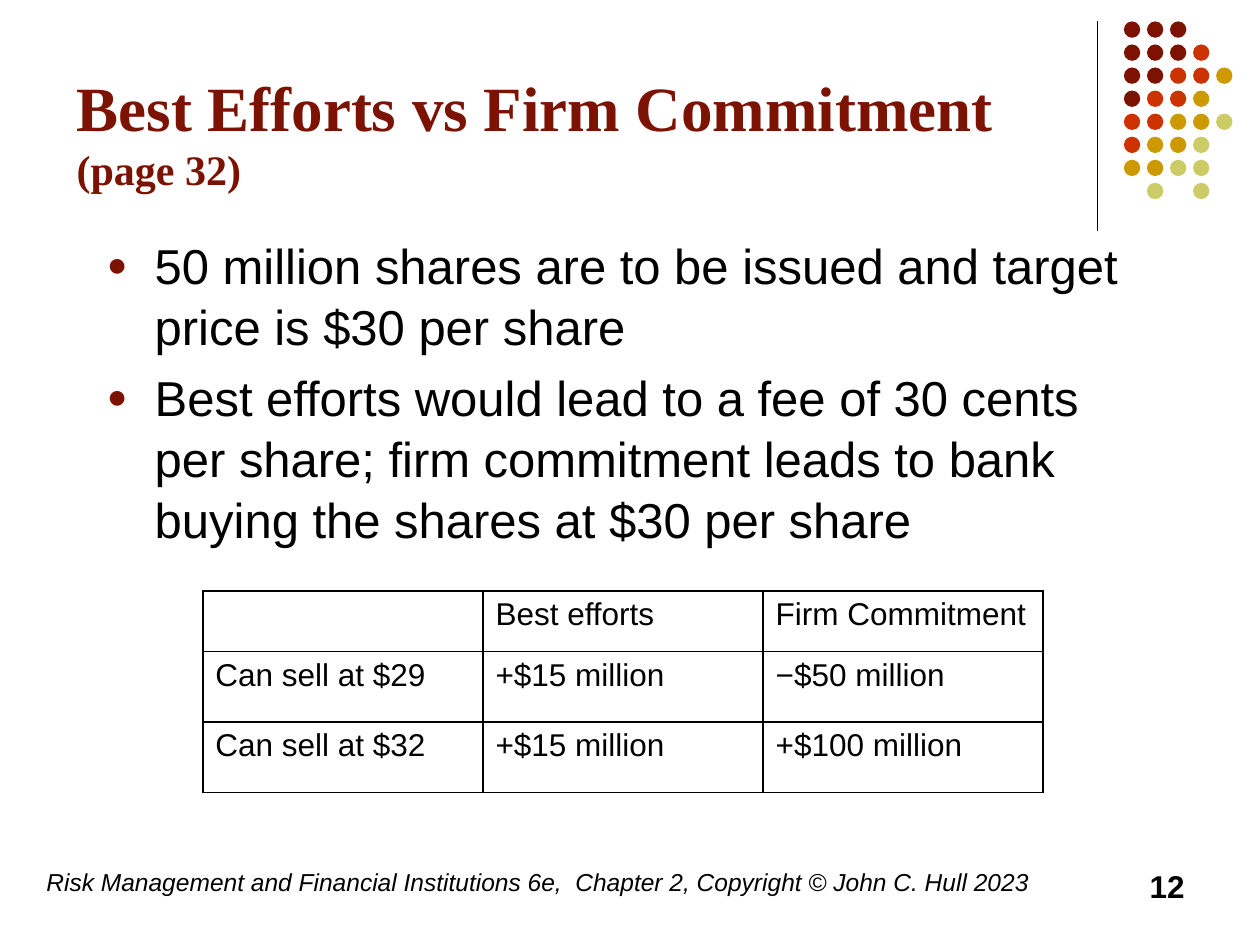
from lxml.etree import SubElement
from pptx import Presentation
from pptx.dml.color import RGBColor
from pptx.enum.shapes import MSO_CONNECTOR, MSO_SHAPE
from pptx.enum.text import MSO_ANCHOR, PP_ALIGN
from pptx.oxml.ns import qn
from pptx.util import Inches, Pt

COLORS = {"text": "000000", "maroon": "7C1302", "red": "CC3300",
          "gold": "CC9900", "lime": "CCCC66"}

DOT_COLORS = {"M": "maroon", "R": "red", "G": "gold", "L": "lime"}
DOT_ROWS = ["MMM", "MMMR", "MMRRG", "MRRG", "RRGGL", "RGGL", "GGLL", " L L"]
DOT_SIZE, DOT_PITCH = 0.13, 0.183

BULLETS = [
    "50 million shares are to be issued and target price is $30 per share",
    "Best efforts would lead to a fee of 30 cents per share; "
    "firm commitment leads to bank buying the shares at $30 per share",
]

PAYOFFS = [
    ["", "Best efforts", "Firm Commitment"],
    ["Can sell at $29", "+$15 million", "−$50 million"],
    ["Can sell at $32", "+$15 million", "+$100 million"],
]
ROW_HEIGHTS = [0.48, 0.56, 0.56]


def rgb(name):
    return RGBColor.from_string(COLORS[name])


def set_font(font, size, color="text", name="Arial", bold=False, italic=False):
    font.name, font.size = name, Pt(size)
    font.bold, font.italic = bold, italic
    font.color.rgb = rgb(color)


def add_text_frame(slide, left, top, width, height):
    frame = slide.shapes.add_textbox(
        Inches(left), Inches(top), Inches(width), Inches(height)).text_frame
    frame.word_wrap = True
    return frame


def add_divider(slide):
    divider = slide.shapes.add_connector(
        MSO_CONNECTOR.STRAIGHT,
        Inches(8.71), Inches(0.17), Inches(8.71), Inches(1.83))
    divider.line.color.rgb = rgb("text")
    divider.line.width = Pt(0.75)
    SubElement(divider._element.spPr, qn("a:effectLst"))


def add_dots(slide):
    for row, codes in enumerate(DOT_ROWS):
        for col, code in enumerate(codes):
            if code == " ":
                continue
            dot = slide.shapes.add_shape(
                MSO_SHAPE.OVAL,
                Inches(8.92 + col * DOT_PITCH), Inches(0.17 + row * DOT_PITCH),
                Inches(DOT_SIZE), Inches(DOT_SIZE))
            dot.shadow.inherit = False
            dot.fill.solid()
            dot.fill.fore_color.rgb = rgb(DOT_COLORS[code])
            dot.line.fill.background()


def add_title(slide):
    frame = add_text_frame(slide, 0.51, 0.17, 8.25, 1.42)
    frame.vertical_anchor = MSO_ANCHOR.BOTTOM
    title = frame.paragraphs[0]
    for text, size in [("Best Efforts vs Firm Commitment ", 36), ("(page 32)", 24)]:
        run = title.add_run()
        run.text = text
        set_font(run.font, size, "maroon", "Times New Roman", bold=True)


def add_bullet_mark(paragraph):
    props = paragraph._p.get_or_add_pPr()
    props.set("marL", str(Inches(0.38)))
    props.set("indent", str(Inches(-0.38)))
    color = SubElement(props, qn("a:buClr"))
    SubElement(color, qn("a:srgbClr"), val=COLORS["maroon"])
    SubElement(props, qn("a:buSzPct"), val="70000")
    SubElement(props, qn("a:buFont"), typeface="Arial")
    SubElement(props, qn("a:buChar"), char="●")


def add_bullets(slide):
    frame = add_text_frame(slide, 0.75, 1.8, 8.5, 5.05)
    for index, text in enumerate(BULLETS):
        bullet = frame.add_paragraph() if index else frame.paragraphs[0]
        bullet.text = text
        add_bullet_mark(bullet)
        bullet.line_spacing = 1.04
        if index:
            bullet.space_before = Pt(5.6)
        set_font(bullet.font, 28)


def add_footer(slide):
    source = add_text_frame(slide, 0.27, 6.83, 8.27, 0.5).paragraphs[0]
    source.text = ("Risk Management and Financial Institutions 6e,  Chapter 2, "
                   "Copyright © John C. Hull 2023")
    set_font(source.font, 14, italic=True)

    number = add_text_frame(slide, 7.17, 6.83, 2.33, 0.5).paragraphs[0]
    number.text = "12"
    number.alignment = PP_ALIGN.RIGHT
    set_font(number.font, 18, bold=True)


def set_borders(cell):
    props = cell._tc.get_or_add_tcPr()
    for index, side in enumerate(("lnL", "lnR", "lnT", "lnB")):
        border = props.makeelement(qn(f"a:{side}"), {"w": str(Pt(1))})
        fill = SubElement(border, qn("a:solidFill"))
        SubElement(fill, qn("a:srgbClr"), val=COLORS["text"])
        props.insert(index, border)


def add_payoff_table(slide):
    table = slide.shapes.add_table(
        len(PAYOFFS), len(PAYOFFS[0]), Inches(1.61), Inches(4.69),
        Inches(6.67), Inches(sum(ROW_HEIGHTS))).table
    table.first_row = table.horz_banding = False
    for row, height in zip(table.rows, ROW_HEIGHTS):
        row.height = Inches(height)
    for r, values in enumerate(PAYOFFS):
        for c, value in enumerate(values):
            cell = table.cell(r, c)
            cell.text = value
            cell.fill.background()
            set_borders(cell)
            set_font(cell.text_frame.paragraphs[0].font, 18)


def main():
    prs = Presentation()
    prs.slide_width, prs.slide_height = Inches(10), Inches(7.5)
    slide = prs.slides.add_slide(prs.slide_layouts[6])

    # Corner decoration
    add_divider(slide)
    add_dots(slide)

    # Content
    add_title(slide)
    add_bullets(slide)
    add_footer(slide)
    add_payoff_table(slide)

    prs.save("out.pptx")


if __name__ == "__main__":
    main()
